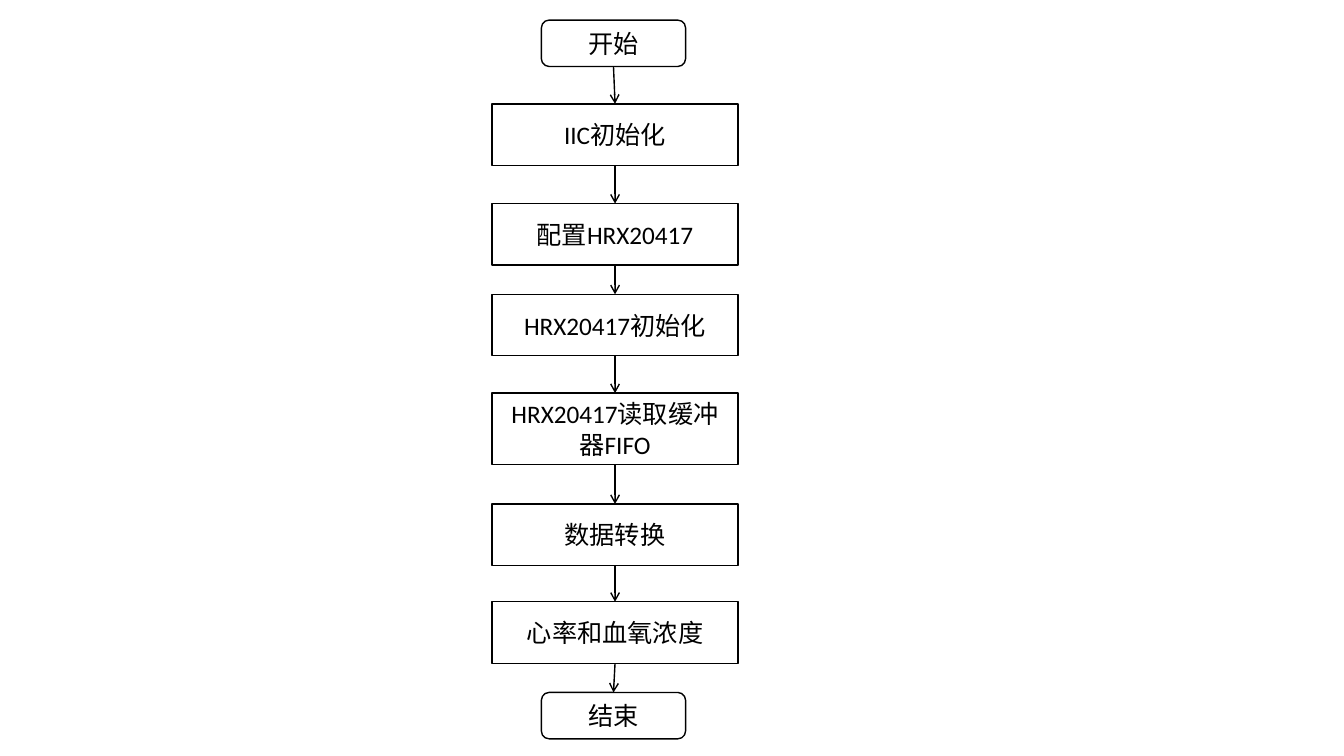
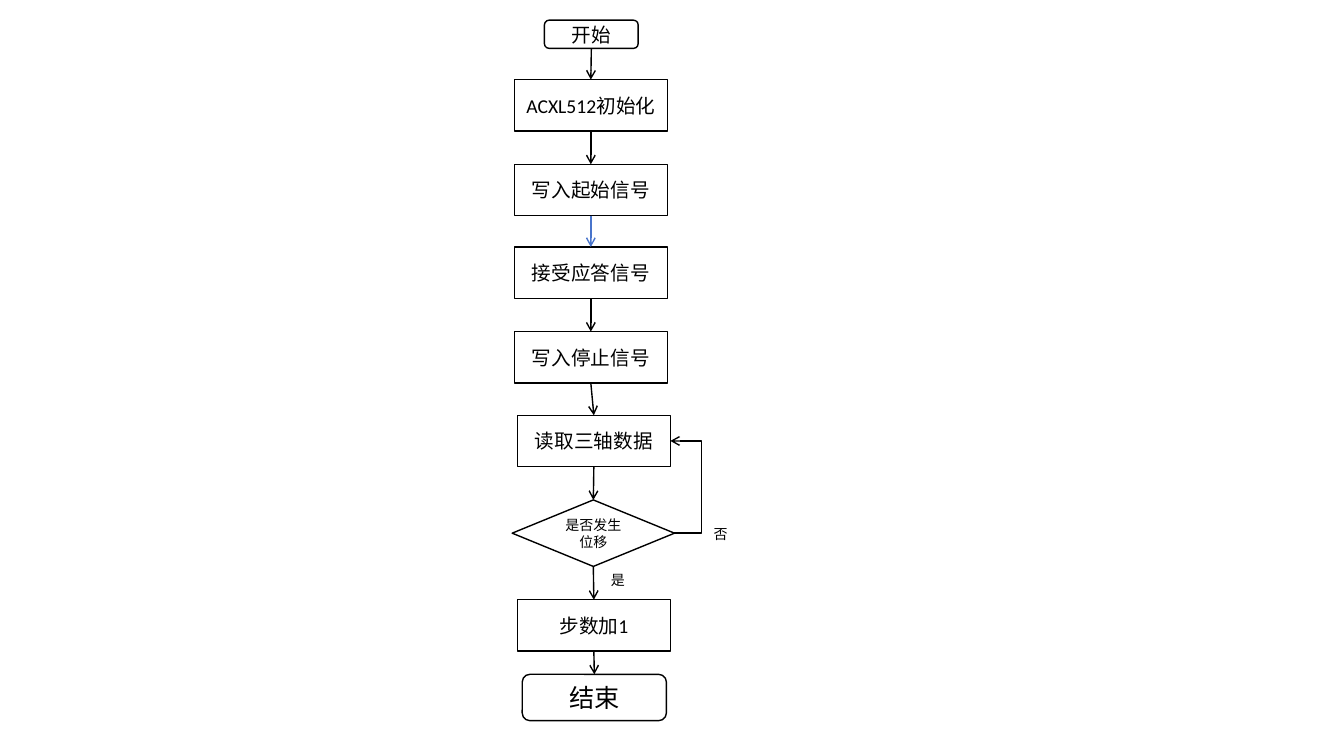
from lxml import etree
from pptx import Presentation
from pptx.dml.color import RGBColor
from pptx.enum import shapes, text
from pptx.oxml.ns import qn
from pptx.util import Inches, Pt

BLACK, BLUE = "000000", "4874CB"
FONT = "Calibri"
RECT = shapes.MSO_SHAPE.RECTANGLE
ROUND = shapes.MSO_SHAPE.ROUNDED_RECTANGLE
DECISION = shapes.MSO_SHAPE.FLOWCHART_DECISION
TOP, BOTTOM, RIGHT = 0, 2, 3

STEP, TALL, END = (RECT, 2.44, 0.61, 18), (RECT, 2.44, 0.71, 18), (ROUND, 1.43, 0.46, 18)
SMALL, START = (RECT, 1.52, 0.51, 14), (ROUND, 0.93, 0.28, 14)
CHECK = (DECISION, 1.61, 0.66, 10)

flows = [
    [
        (END, 5.37, 0.2, "开始"),
        (STEP, 4.88, 1.03, "IIC初始化"),
        (STEP, 4.88, 2.02, "配置HRX20417"),
        (STEP, 4.88, 2.92, "HRX20417初始化"),
        (TALL, 4.88, 3.9, "HRX20417读取缓冲器FIFO"),
        (STEP, 4.88, 5, "数据转换"),
        (STEP, 4.88, 5.97, "心率和血氧浓度"),
        (END, 5.37, 6.87, "结束"),
    ],
    [
        (START, 5.4, 0.2, "开始"),
        (SMALL, 5.1, 0.79, "ACXL512初始化"),
        (SMALL, 5.1, 1.63, "写入起始信号"),
        (SMALL, 5.1, 2.45, "接受应答信号"),
        (SMALL, 5.1, 3.29, "写入停止信号"),
        (SMALL, 5.13, 4.12, "读取三轴数据"),
        (CHECK, 5.08, 4.96, "是否发生位移"),
        (SMALL, 5.13, 5.95, "步数加1"),
        (END, 5.18, 6.69, "结束"),
    ],
]


def write(sp, words, size):
    p = sp.text_frame.paragraphs[0]
    r = p.add_run()
    r.text = words
    r.font.name = FONT
    r.font.size = Pt(size)
    r.font.color.rgb = RGBColor.from_string(BLACK)
    return p


def arrow(s, kind, start, start_site, end, end_site, color=BLACK):
    c = s.shapes.add_connector(kind, 0, 0, 0, 0)
    c.begin_connect(start, start_site)
    c.end_connect(end, end_site)
    c.line.color.rgb = RGBColor.from_string(color)
    c.line.width = Pt(1)
    etree.SubElement(c.line._get_or_add_ln(), qn("a:tailEnd"), type="arrow")
    etree.SubElement(c.element.spPr, qn("a:effectLst"))
    return c


prs = Presentation()
prs.slide_width, prs.slide_height = Inches(13.33), Inches(7.5)

for flow in flows:
    s = prs.slides.add_slide(prs.slide_layouts[6])
    nodes = {}
    for (kind, width, height, size), left, top, words in flow:
        sp = s.shapes.add_shape(kind, Inches(left), Inches(top), Inches(width), Inches(height))
        sp.shadow.inherit = False
        sp.fill.background()
        sp.line.color.rgb = RGBColor.from_string(BLACK)
        sp.line.width = Pt(1)
        write(sp, words, size).alignment = text.PP_ALIGN.CENTER
        nodes[words] = sp
    names = list(nodes)
    for above, below in zip(names, names[1:]):
        color = BLUE if above == "写入起始信号" else BLACK
        arrow(s, shapes.MSO_CONNECTOR.STRAIGHT, nodes[above], BOTTOM, nodes[below], TOP, color)

check, read = nodes["是否发生位移"], nodes["读取三轴数据"]
loop = arrow(s, shapes.MSO_CONNECTOR.ELBOW, check, RIGHT, read, RIGHT)
bend = round((Inches(6.96) - loop.begin_x) / (loop.end_x - loop.begin_x) * 100000)
guides = loop.element.spPr.find(qn("a:prstGeom")).get_or_add_avLst()
etree.SubElement(guides, qn("a:gd"), name="adj1", fmla=f"val {bend}")

for words, left, top in [("是", 5.96, 5.62), ("否", 6.98, 5.16)]:
    sp = s.shapes.add_textbox(Inches(left), Inches(top), Inches(0.36), Inches(0.27))
    sp.text_frame.word_wrap = True
    sp.text_frame.auto_size = text.MSO_AUTO_SIZE.SHAPE_TO_FIT_TEXT
    write(sp, words, 10)

prs.save("out.pptx")
